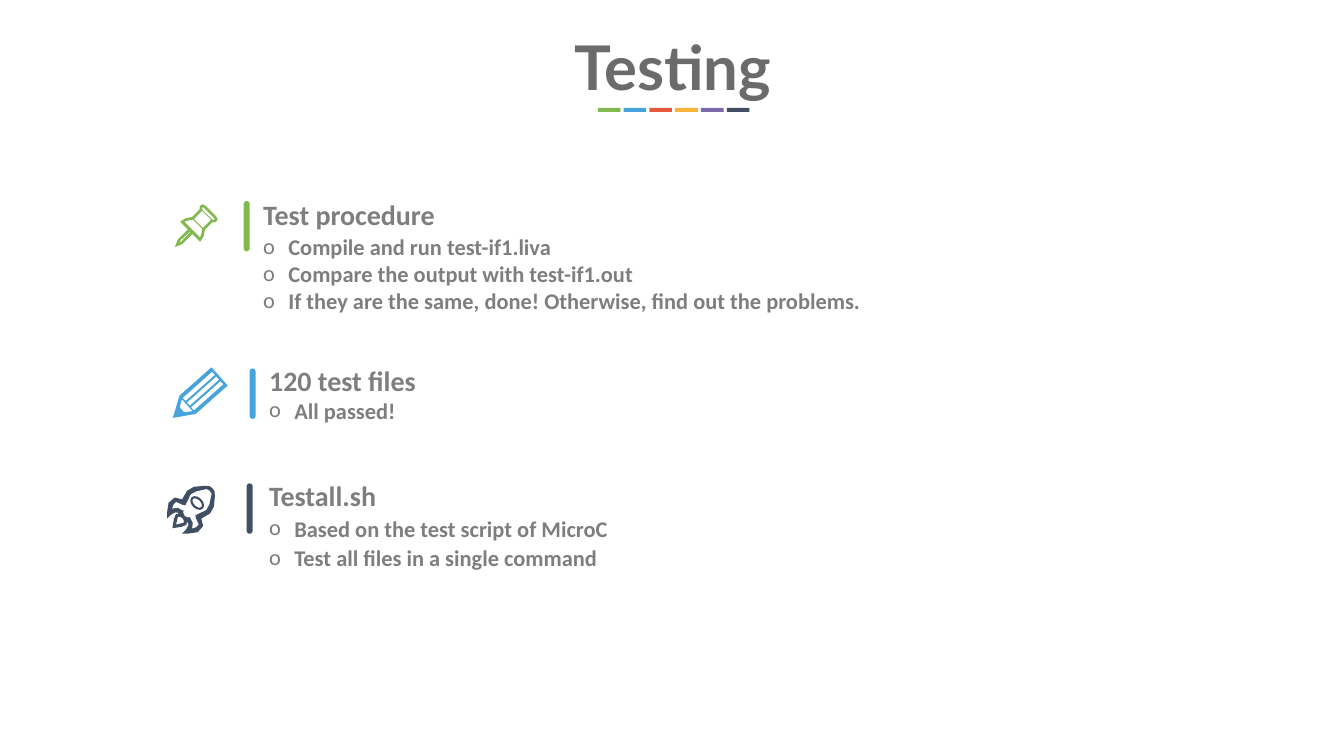
from dataclasses import dataclass
from math import cos, radians, sin
from lxml.etree import SubElement
from pptx import Presentation
from pptx.dml.color import RGBColor
from pptx.enum.shapes import MSO_SHAPE
from pptx.enum.text import MSO_ANCHOR, MSO_AUTO_SIZE, PP_ALIGN
from pptx.oxml.ns import qn
from pptx.util import Cm, Pt

COLORS = {
    "green": "81B94F", "blue": "46A4DB", "red": "E5583A", "yellow": "F9B439",
    "purple": "7C69A8", "navy": "404F64", "title": "6B6B6B", "text": "7E7E7E",
}
UNDERLINE = ["green", "blue", "red", "yellow", "purple", "navy"]
ICON_UNIT = Cm(0.0254)


@dataclass
class Section:
    heading: str
    bullets: list
    spacings: list  # line spacing of the heading and each bullet
    left: float     # cm, as are the rest
    top: float
    height: float
    color: str
    bar_left: float
    bar_top: float


SECTIONS = [
    Section("Test procedure",
            ["Compile and run test-if1.liva", "Compare the output with test-if1.out",
             "If they are the same, done! Otherwise, find out the problems."],
            [1.1, 1.1, 1, 1], 12.65, 9.47, 8.1, "green", 12.28, 10.13),
    Section("120 test files", ["All passed!"],
            [1, 1], 12.95, 18, 3.68, "blue", 12.58, 18.57),
    Section("Testall.sh",
            ["Based on the test script of MicroC", "Test all files in a single command"],
            [1.1] * 3, 12.95, 23.65, 5.51, "navy", 12.43, 24.36),
]


# Formatting helpers
def rgb(name):
    return RGBColor.from_string(COLORS[name])


def assign(obj, values):
    for name, value in values.items():
        setattr(obj, name, value)


def paint(sp, color):
    sp.shadow.inherit = False
    sp.fill.solid()
    sp.fill.fore_color.rgb = rgb(color)
    sp.line.fill.background()


def add_preset(slide, kind, color, left, top, width, height):
    sp = slide.shapes.add_shape(kind, Cm(left), Cm(top), Cm(width), Cm(height))
    paint(sp, color)
    return sp


# Icons: each outline is half a profile of (along axis, half width) points,
# mirrored across the axis and turned to the icon's angle
def mirror(half):
    return half + [(along, -across) for along, across in reversed(half)]


def band(start, end, middle, width):
    low, high = middle - width / 2, middle + width / 2
    return [(start, low), (end, low), (end, high), (start, high)]


def add_icon(slide, color, left, top, angle, outlines):
    """Draw outlines from the tail point (left, top); later ones are holes."""
    c, s = cos(radians(angle)), sin(radians(angle))

    def turn(along, across):
        return (Cm(left) + ICON_UNIT * (along * c + across * s),
                Cm(top) + ICON_UNIT * (across * c - along * s))

    builder = None
    for outline in outlines:
        start, *rest = [turn(*point) for point in outline]
        if builder is None:
            builder = slide.shapes.build_freeform(*start, scale=1)
        else:
            builder.move_to(*start)
        builder.add_line_segments(rest)
    paint(builder.convert_to_shape(), color)


def add_pin(slide):
    needle, plate, neck, cap = 6.4, 27.6, 18, 22.6  # half widths
    silhouette = [(0, 0), (15, needle), (43, needle), (43, plate), (46, plate),
                  (56, 25), (66, neck), (87, neck), (93, cap), (99, 21), (101, 15)]
    needle_hole = [(15, 1.4), (43, 0.7)]
    plate_hole = [(49, 22), (57, 18), (64, 12.7)]
    neck_hole = [(66, 12.7), (89, 12.7)]
    cap_hole = [(91, 14), (94, 17), (96, 15)]
    halves = [silhouette, needle_hole, plate_hole, neck_hole, cap_hole]
    add_icon(slide, "green", 8.81, 12.45, 45, [mirror(half) for half in halves])


def add_pencil(slide):
    shoulder, end, half_width = 39, 124, 24.2
    silhouette = mirror([(0, 0), (shoulder, half_width), (end, half_width)])
    point_hole = mirror([(24, 6.6), (shoulder - 1, 15.8)])
    stripes = [band(shoulder + 2, end - 5, 12.5 * i, 8.5) for i in (-1, 0, 1)]
    add_icon(slide, "blue", 8.71, 21.06, 41.6, [silhouette, point_hole, *stripes])


def add_rocket(slide):
    # Each half runs from the nose, round the fin, back to the axis
    hull = [(112, 0), (111, 7), (104, 15), (88, 28), (73, 32), (54, 27), (46, 40),
            (30, 41), (15, 30), (6, 21), (17, 21), (27, 18), (30, 13), (28, 12)]
    hull_hole = [(105, 0), (103, 7), (85, 18.5), (73, 22), (50, 14), (47, 19), (42, 32),
                 (35, 32), (27, 28), (36, 21), (38, 14), (40, 9), (37, 7), (34, 0)]
    flame = [(0, 0), (4, 3), (15, 11), (25, 15), (31, 9), (34, 0)]
    flame_hole = [(10, 0), (24, 8.5), (30, 0)]
    for halves in ([hull, hull_hole], [flame, flame_hole]):
        add_icon(slide, "navy", 8.69, 26.62, 45, [mirror(half) for half in halves])
    window = add_preset(slide, MSO_SHAPE.DONUT, "navy", 9.53, 25.07, 0.81, 0.56)
    window.rotation = 45
    window.adjustments[0] = 0.2


# Text
def place(sp, left, top, width, height, inset_x, inset_y):
    assign(sp, {"left": Cm(left), "top": Cm(top),
                "width": Cm(width), "height": Cm(height)})
    assign(sp.text_frame, {
        "word_wrap": True, "auto_size": MSO_AUTO_SIZE.NONE,
        "vertical_anchor": MSO_ANCHOR.TOP,
        "margin_left": Cm(inset_x), "margin_right": Cm(inset_x),
        "margin_top": Cm(inset_y), "margin_bottom": Cm(inset_y)})


def write(p, text, size, font, color, align, spacing=1):
    assign(p, {"alignment": align, "line_spacing": float(spacing),
               "space_before": Pt(0), "space_after": Pt(0)})
    r = p.add_run()
    r.text = text
    assign(r.font, {"size": Pt(size), "name": font, "bold": True})
    r.font.color.rgb = rgb(color)
    r._r.get_or_add_rPr().set("kern", "0")


def set_bullet(p, char=None):
    pPr = p._p.get_or_add_pPr()
    indent = Cm(1.27) if char else 0
    pPr.set("marL", str(indent))
    pPr.set("indent", str(-indent))
    if char:
        SubElement(pPr, qn("a:buFont"), typeface="Calibri")
        SubElement(pPr, qn("a:buChar"), char=char)
    else:
        SubElement(pPr, qn("a:buNone"))


def add_title(slide):
    title = slide.shapes.title
    place(title, 4.83, 1.35, 58.17, 4.01, 0.25, 0.13)
    write(title.text_frame.paragraphs[0], "Testing", 88, "Lato", "title", PP_ALIGN.CENTER)
    for i, color in enumerate(UNDERLINE):
        add_preset(slide, MSO_SHAPE.RECTANGLE, color, 30.12 + 1.3 * i, 5.44, 1.14, 0.2)


def add_section(slide, sp, section):
    place(sp, section.left, section.top, 44.7, section.height, 0.61, 0.3)
    tf = sp.text_frame
    lines = [section.heading] + section.bullets
    for i, (text, spacing) in enumerate(zip(lines, section.spacings)):
        p = tf.add_paragraph() if i else tf.paragraphs[0]
        write(p, text, 32 if i else 40, "Calibri", "text", PP_ALIGN.LEFT, spacing)
        set_bullet(p, "o" if i else None)
    bar = add_preset(slide, MSO_SHAPE.ROUND_2_SAME_RECTANGLE, section.color,
                     section.bar_left, section.bar_top, 0.3, 2.54)
    bar.adjustments[0] = bar.adjustments[1] = 0.5


def main():
    prs = Presentation()
    assign(prs, {"slide_width": Cm(67.72), "slide_height": Cm(38.1)})
    slide = prs.slides.add_slide(prs.slide_layouts.get_by_name("Comparison"))
    bodies = list(slide.placeholders)[1:]

    add_title(slide)
    for sp, section in zip(bodies, SECTIONS):
        add_section(slide, sp, section)
    for sp in bodies[len(SECTIONS):]:  # unused placeholder
        sp.element.getparent().remove(sp.element)
    for add_drawing in (add_pin, add_pencil, add_rocket):
        add_drawing(slide)

    prs.save("out.pptx")


main()
